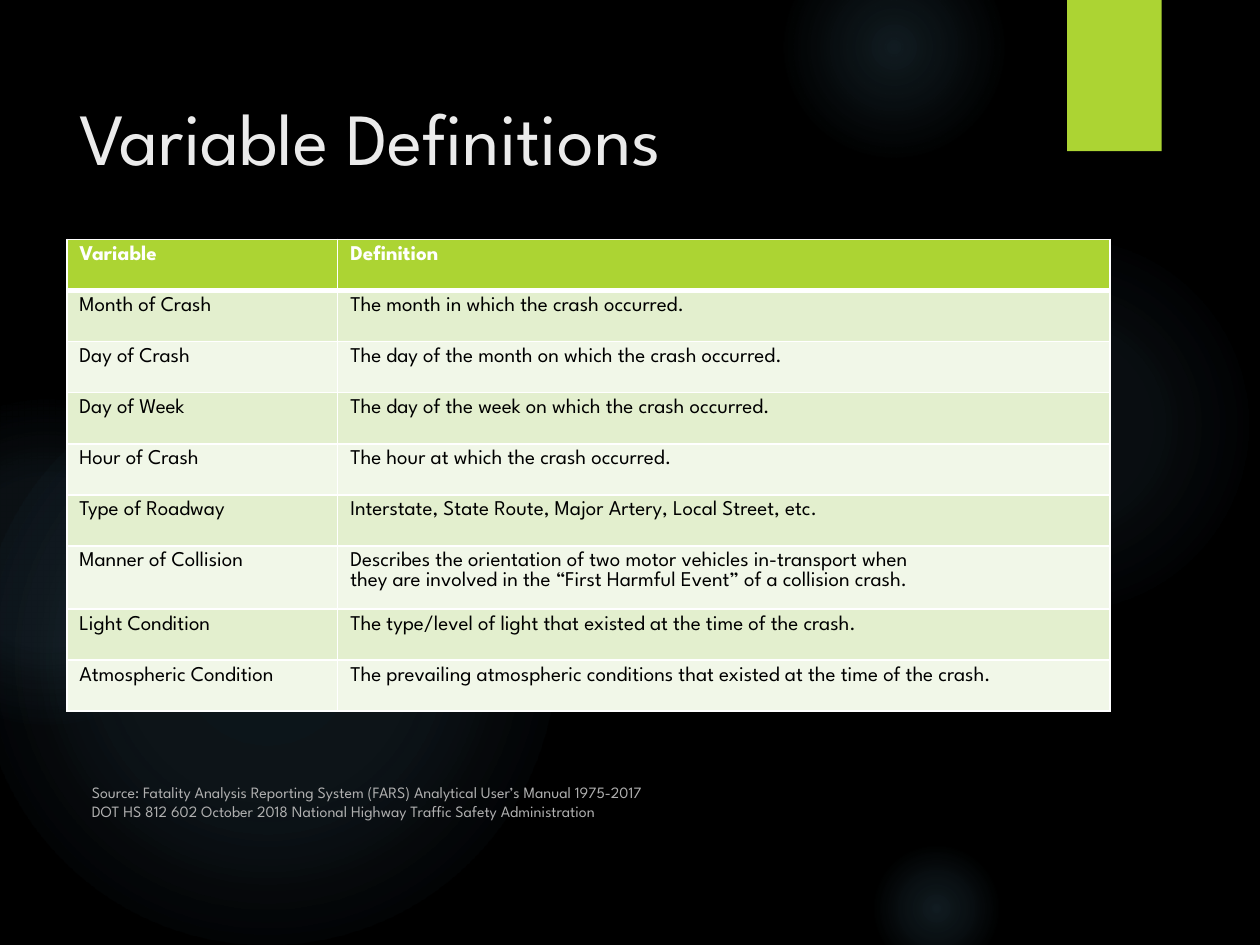
"""Build the variable definitions slide."""
from dataclasses import dataclass

from lxml import etree
from pptx import Presentation
from pptx import util as u
from pptx.dml import color
from pptx.enum import shapes, text
from pptx.oxml import ns

FONT = "League Spartan"
ACCENT, WHITE, BLACK, GLOW = "ACD433", "FFFFFF", "000000", "7AC4F0"
BANDS = ("E3EFCE", "F1F7E8")
HEADER = ("Variable", "Definition")
DEFINITIONS = (
    ("Month of Crash", "The month in which the crash occurred."),
    ("Day of Crash", "The day of the month on which the crash occurred."),
    ("Day of Week", "The day of the week on which the crash occurred."),
    ("Hour of Crash", "The hour at which the crash occurred."),
    ("Type of Roadway", "Interstate, State Route, Major Artery, Local Street, etc."),
    ("Manner of Collision",
     "Describes the orientation of two motor vehicles in-transport when\n"
     "they are involved in the “First Harmful Event” of a collision crash."),
    ("Light Condition", "The type/level of light that existed at the time of the crash."),
    ("Atmospheric Condition",
     "The prevailing atmospheric conditions that existed at the time of the crash."),
)
SOURCE = (
    "Source: Fatality Analysis Reporting System (FARS) Analytical User’s Manual 1975-2017\n"
    "DOT HS 812 602 October 2018 National Highway Traffic Safety Administration"
)


@dataclass
class Orb:
    """A round glow: place, size and its (position, opacity) stops in percent."""
    left: float
    top: float
    size: float
    stops: tuple


ORBS = (
    Orb(6.89, 1.83, 3.08, ((0, 7), (36, 6), (69, 0))),
    Orb(6.22, -0.5, 1.75, ((0, 14), (36, 7), (73, 0))),
    Orb(6.89, 6.67, 1.08, ((0, 14), (36, 7), (66, 0))),
    Orb(-0.17, 2.92, 4.58, ((0, 11), (36, 10), (75, 0))),
    Orb(-0.92, 3.17, 2.58, ((0, 8), (36, 8), (72, 0))),
)


def rgb(value: str) -> color.RGBColor:
    """Turn a hex string into a colour."""
    return color.RGBColor.from_string(value)


def element(parent, tag: str, **attributes):
    """Append a drawing element to its parent."""
    values = {key: str(value) for key, value in attributes.items()}
    return etree.SubElement(parent, ns.qn(f"a:{tag}"), values)


def paint(fill, value: str) -> None:
    """Fill with one solid colour."""
    fill.solid()
    fill.fore_color.rgb = rgb(value)


def add_plain_shape(slide, kind, left: float, top: float, width: float, height: float):
    """Add a shape with neither line nor shadow."""
    shape = slide.shapes.add_shape(kind, *map(u.Inches, (left, top, width, height)))
    shape.shadow.inherit = False
    shape.line.fill.background()
    return shape


def add_orb(slide, orb: Orb) -> None:
    """Draw a glow that fades from its centre."""
    shape = add_plain_shape(
        slide, shapes.MSO_SHAPE.OVAL, orb.left, orb.top, orb.size, orb.size)
    shape.fill.gradient()
    gradient = shape._element.spPr.find(ns.qn("a:gradFill"))
    for child in list(gradient):
        gradient.remove(child)
    stops = element(gradient, "gsLst")
    for position, opacity in orb.stops:
        stop = element(stops, "gs", pos=position * 1000)
        element(element(stop, "srgbClr", val=GLOW), "alpha", val=opacity * 1000)
    centre = element(gradient, "path", path="circle")
    element(centre, "fillToRect", l=50000, t=50000, r=50000, b=50000)


def add_tab(slide) -> None:
    """Draw the accent tab with its soft shadow."""
    shape = add_plain_shape(slide, shapes.MSO_SHAPE.RECTANGLE, 8.47, 0, 0.75, 1.2)
    paint(shape.fill, ACCENT)
    effects = shape._element.spPr.find(ns.qn("a:effectLst"))
    shadow = element(effects, "outerShdw", blurRad=u.Pt(3), dist=u.Pt(2),
                     dir=90 * 60000, rotWithShape=0)
    element(element(shadow, "srgbClr", val=BLACK), "alpha", val=45000)


def write(frame, content: str, size: float, value: str, bold: bool = False,
          spacing=None) -> None:
    """Write one formatted paragraph per line."""
    frame.text = content
    font_format = {"name": FONT, "size": u.Pt(size), "bold": bold}
    for paragraph in frame.paragraphs:
        paragraph.line_spacing = spacing
        for run in paragraph.runs:
            for name, setting in font_format.items():
                setattr(run.font, name, setting)
            run.font.color.rgb = rgb(value)


def add_text(slide, box: tuple, content: str, size: float, value: str,
             frame_format: dict, spacing=None) -> None:
    """Add a text box."""
    frame = slide.shapes.add_textbox(*map(u.Inches, box)).text_frame
    for name, setting in frame_format.items():
        setattr(frame, name, setting)
    write(frame, content, size, value, spacing=spacing)


def set_borders(cell, top: float, bottom: float) -> None:
    """Give a cell white borders, one point wide at the sides."""
    properties = cell._tc.get_or_add_tcPr()
    widths = {"lnL": 1, "lnR": 1, "lnT": top, "lnB": bottom}
    for index, (tag, width) in enumerate(widths.items()):
        line = element(properties, tag, w=u.Pt(width))
        element(element(line, "solidFill"), "srgbClr", val=WHITE)
        properties.insert(index, line)


def add_definitions(slide) -> None:
    """Add the table of variables."""
    rows = (HEADER, *DEFINITIONS)
    widths, height = (2.15, 6.13), 3.65
    table = slide.shapes.add_table(
        len(rows), len(widths),
        *map(u.Inches, (0.53, 1.9, sum(widths), height))).table
    for column, width in zip(table.columns, widths):
        column.width = u.Inches(width)
    for row_index, row in enumerate(rows):
        header = row_index == 0
        table.rows[row_index].height = u.Inches(height / len(rows))
        for column_index, content in enumerate(row):
            cell = table.cell(row_index, column_index)
            write(cell.text_frame, content, 12, WHITE if header else BLACK, header)
            paint(cell.fill, ACCENT if header else BANDS[(row_index - 1) % 2])
            set_borders(cell, 3 if row_index == 1 else 1, 3 if header else 1)


def main() -> None:
    """Build and save the slide."""
    presentation = Presentation()
    presentation.slide_width = u.Inches(10)
    presentation.slide_height = u.Inches(7.5)
    slide = presentation.slides.add_slide(presentation.slide_layouts[6])
    paint(slide.background.fill, BLACK)
    for orb in ORBS:
        add_orb(slide, orb)
    add_tab(slide)
    add_text(slide, (0.53, 0.5, 7.72, 1.53), "Variable Definitions", 42, "EBEBEB",
             {"word_wrap": True, "margin_top": u.Inches(0.23)})
    add_definitions(slide)
    add_text(slide, (0.63, 6.16, 5.32, 0.56), SOURCE, 9, "B0B0B0",
             {"word_wrap": False, "auto_size": text.MSO_AUTO_SIZE.SHAPE_TO_FIT_TEXT},
             u.Pt(11))
    presentation.save("out.pptx")


if __name__ == "__main__":
    main()
